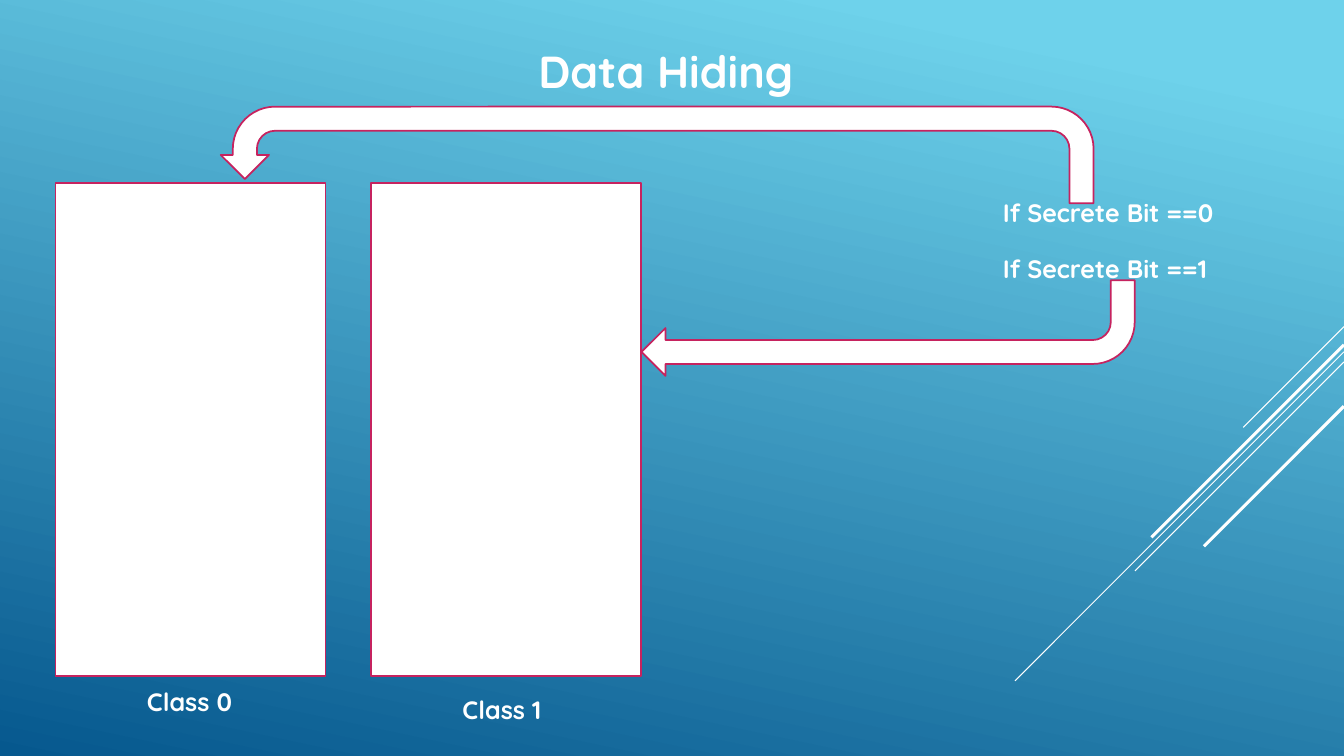
from lxml import etree
from pptx import Presentation
from pptx import util as u
from pptx.dml.color import RGBColor
from pptx.enum import shapes, text
from pptx.oxml import ns

WHITE = RGBColor(0xFF, 0xFF, 0xFF)
CRIMSON = RGBColor(0xC6, 0x23, 0x5F)
SKY = RGBColor(0x6E, 0xD2, 0xEB)
NAVY = RGBColor(0x06, 0x58, 0x8E)


def write_label(box, wording, size, wrap):
    frame = box.text_frame
    frame.text = wording
    frame_format = {
        "word_wrap": wrap,
        "auto_size": text.MSO_AUTO_SIZE.SHAPE_TO_FIT_TEXT,
        "vertical_anchor": text.MSO_ANCHOR.TOP,
    }
    for name, value in frame_format.items():
        setattr(frame, name, value)
    para = frame.paragraphs[0]
    para.alignment = text.PP_ALIGN.LEFT
    span = para.runs[0]
    for name, value in {"name": "Quicksand", "size": u.Pt(size), "bold": True}.items():
        setattr(span.font, name, value)
    span.font.color.rgb = WHITE


def add_outlined(page, kind, left, top, width, height):
    shape = page.shapes.add_shape(kind, u.Pt(left), u.Pt(top), u.Pt(width), u.Pt(height))
    shape.shadow.inherit = False
    shape.fill.solid()
    shape.fill.fore_color.rgb = WHITE
    shape.line.color.rgb = CRIMSON
    shape.line.width = u.Pt(1.25)
    return shape


deck = Presentation()
deck.slide_width, deck.slide_height = u.Pt(960), u.Pt(540)
page = deck.slides.add_slide(deck.slide_layouts[5])

backdrop = page.background.fill
backdrop.gradient()
backdrop.gradient_angle = 360 - 102
for stop, position, color in zip(backdrop.gradient_stops, (0.1, 1), (SKY, NAVY)):
    stop.position = position
    stop.color.rgb = color

right_edge = 960
for top, reach, weight in [
    (233.3, 72, 0.75),
    (251.3, 235, 0.75),
    (258.5, 149.3, 0.75),
    (246.3, 137.5, 2.25),
    (290.2, 100, 2.25),
]:
    streak = page.shapes.add_connector(
        shapes.MSO_CONNECTOR.STRAIGHT,
        u.Pt(right_edge), u.Pt(top), u.Pt(right_edge - reach), u.Pt(top + reach),
    )
    streak.line.color.rgb = WHITE
    streak.line.width = u.Pt(weight)
    etree.SubElement(streak.element.spPr, ns.qn("a:effectLst"))

title = page.shapes.title
title_place = {"left": 377.3, "top": 27.4, "width": 198, "height": 46}
for name, value in title_place.items():
    setattr(title, name, u.Pt(value))
write_label(title, "Data Hiding", 32, False)

for left in (39.6, 265):
    add_outlined(page, shapes.MSO_SHAPE.RECTANGLE, left, 131, 193, 352)

for wording, left, top, width, wrap in [
    ("Class 0", 97.9, 486.7, 76.3, False),
    ("Class 1", 323.3, 492.5, 76.3, False),
    ("If Secrete Bit ==0", 709.2, 137.5, 190.8, True),
    ("If Secrete Bit ==1", 709.2, 177.1, 190.8, True),
]:
    box = page.shapes.add_textbox(u.Pt(left), u.Pt(top), u.Pt(width), u.Pt(29))
    write_label(box, wording, 18, wrap)

zero_arrow = add_outlined(page, shapes.MSO_SHAPE.U_TURN_ARROW, 157.7, 76.2, 623.5, 69)
zero_arrow.element.spPr.find(ns.qn("a:xfrm")).set("flipH", "1")

one_arrow = add_outlined(page, shapes.MSO_SHAPE.BENT_ARROW, 458.2, 200.1, 352.3, 68.4)
one_arrow.rotation = 180

deck.save("out.pptx")
